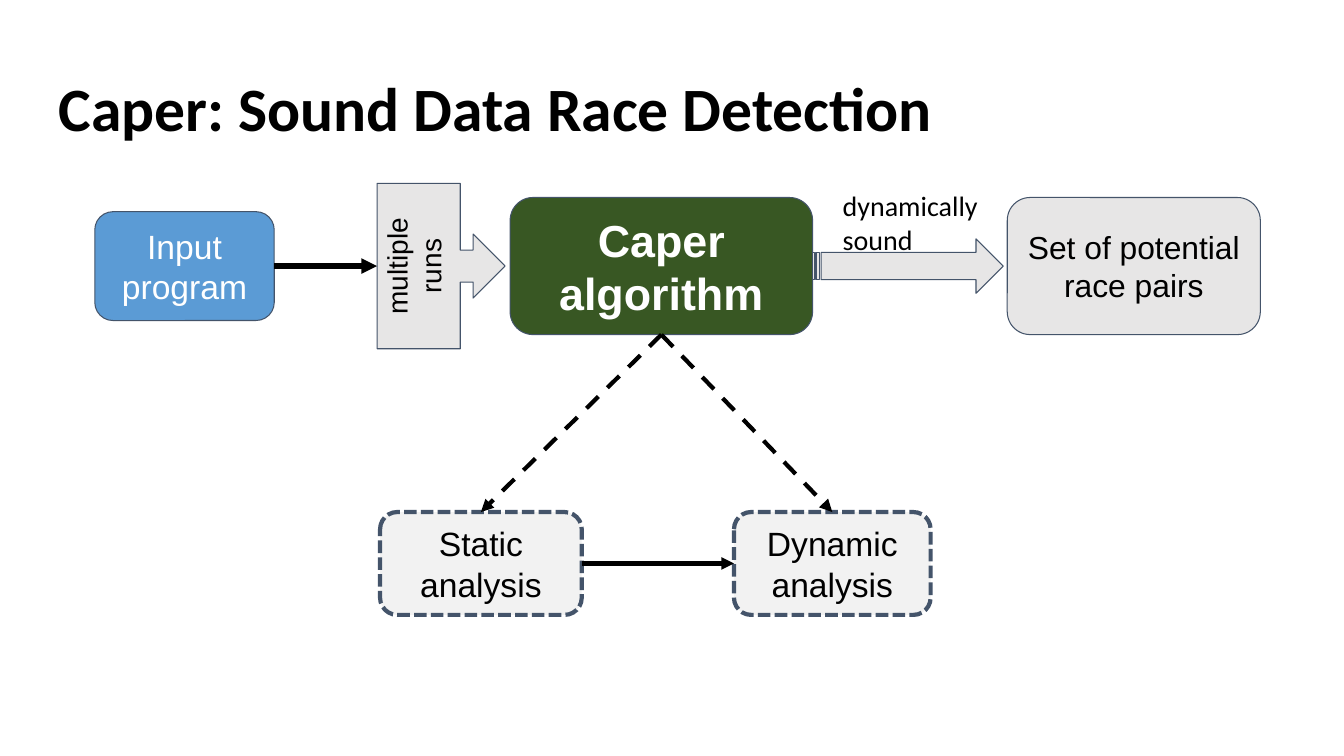
from lxml.etree import SubElement
from pptx import Presentation
from pptx.dml.color import RGBColor
from pptx.enum.dml import MSO_LINE
from pptx.enum.shapes import MSO_CONNECTOR, MSO_SHAPE
from pptx.enum.text import MSO_ANCHOR, PP_ALIGN
from pptx.oxml.ns import qn
from pptx.util import Inches, Pt

BLACK, WHITE, GREY, PALE = "000000", "FFFFFF", "E7E6E6", "F2F2F2"
BLUE, GREEN, SLATE = "5B9BD5", "385723", "44546A"
TOP, LEFT, BASE, RIGHT = range(4)


def paint(item, code):
    """Give a fill or a font the colour of a hex string."""
    if hasattr(item, "solid"):
        item.solid()
        item = item.fore_color
    else:
        item = item.color
    item.rgb = RGBColor.from_string(code)


def apply(item, form):
    """Set attributes from a dict of format values."""
    for name, value in form.items():
        setattr(item, name, value)


def write(shape, lines, size, code=BLACK, face="Arial", bold=False,
          inset=0.13, anchor=MSO_ANCHOR.MIDDLE, align=PP_ALIGN.CENTER,
          space=1.0):
    """Fill a shape with lines of text in one format."""
    frame = shape.text_frame
    form = {"word_wrap": True, "vertical_anchor": anchor}
    for side in ("left", "top", "right", "bottom"):
        form["margin_" + side] = Inches(inset)
    apply(frame, form)
    for num, line in enumerate(lines):
        para = frame.add_paragraph() if num else frame.paragraphs[0]
        apply(para, {"alignment": align, "line_spacing": space})
        run = para.add_run()
        run.text = line
        apply(run.font, {"name": face, "size": Pt(size), "bold": bold})
        paint(run.font, code)


def block(slide, kind, box, fill, line=SLATE, width=0.75, dash=None,
          adjust=()):
    """Draw a filled preset shape in the box."""
    shape = slide.shapes.add_shape(kind, *map(Inches, box))
    shape.shadow.inherit = False
    for num, value in enumerate(adjust):
        shape.adjustments[num] = value
    paint(shape.fill, fill)
    if line:
        paint(shape.line.fill, line)
        apply(shape.line, {"width": Pt(width), "dash_style": dash})
    else:
        shape.line.fill.background()
    return shape


def node(slide, box, label, fill, size, code=BLACK, bold=False, inset=0.13,
         **edge):
    """Draw a rounded box with a centred label."""
    shape = block(slide, MSO_SHAPE.ROUNDED_RECTANGLE, box, fill, **edge)
    write(shape, [label], size, code, bold=bold, inset=inset)
    return shape


def link(slide, start, out, end, into, width=3, dash=None):
    """Join two shapes with an arrow between their sides."""
    arrow = slide.shapes.add_connector(MSO_CONNECTOR.STRAIGHT, 0, 0, 0, 0)
    arrow.begin_connect(start, out)
    arrow.end_connect(end, into)
    paint(arrow.line.fill, BLACK)
    apply(arrow.line, {"width": Pt(width), "dash_style": dash})
    SubElement(arrow.line._get_or_add_ln(), qn("a:tailEnd"), type="triangle")
    SubElement(arrow._element.spPr, qn("a:effectLst"))


def words(slide, box, lines, size, **form):
    """Place left-aligned Calibri text in the box."""
    text = slide.shapes.add_textbox(*map(Inches, box))
    write(text, lines, size, face="Calibri", anchor=MSO_ANCHOR.TOP,
          align=PP_ALIGN.LEFT, **form)


def flow(slide, box):
    """Draw the row from input to race pairs; return the Caper box."""
    x, y, w, h = box
    mid = y + h / 2

    def row(left, wide, high):
        """Return a box centred on the row."""
        return x + left, mid - high / 2, wide, high

    start = node(slide, row(0, 1.78, 1.08), "Input program", BLUE, 24, WHITE)
    caper = node(slide, row(4.12, 3, 1.36), "Caper algorithm", GREEN, 32,
                 WHITE, bold=True)
    node(slide, row(w - 2.51, 2.51, 1.36), "Set of potential race pairs",
         GREY, 22.7)
    runs = block(slide, MSO_SHAPE.RIGHT_ARROW_CALLOUT, row(2.8, 1.27, h),
                 GREY, adjust=(0.25, 0.25, 0.25, 0.65))
    label = block(slide, MSO_SHAPE.RECTANGLE, row(2.41, 1.5, 0.63), GREY,
                  line=None)
    label.rotation = 270
    write(label, ["multiple runs"], 20)
    block(slide, MSO_SHAPE.STRIPED_RIGHT_ARROW, row(7.12, 1.89, 0.54), GREY)
    link(slide, start, RIGHT, runs, LEFT, 3.75)
    words(slide, (x + 7.32, y - 0.05, 2.13, 0.77), ["dynamically", "sound"],
          20, inset=0.1)
    return caper


def parts(slide, box, caper):
    """Draw the two analyses that the Caper box leads to."""
    x, y, w, h = box
    edge = {"width": 3, "dash": MSO_LINE.SQUARE_DOT, "inset": 0.1}
    static = node(slide, (x, y, 2, h), "Static analysis", PALE, 24, **edge)
    active = node(slide, (x + w - 1.95, y, 1.95, h), "Dynamic analysis",
                  PALE, 24, **edge)
    for end in (static, active):
        link(slide, caper, BASE, end, TOP, dash=MSO_LINE.DASH)
    link(slide, static, RIGHT, active, LEFT)


def build():
    """Build the slide and save it."""
    deck = Presentation()
    apply(deck, {"slide_width": Inches(13.33), "slide_height": Inches(7.5)})
    slide = deck.slides.add_slide(deck.slide_layouts[6])
    words(slide, (0.45, 0.65, 12.42, 0.84),
          ["Caper: Sound Data Race Detection"], 44, bold=True, space=0.9)
    caper = flow(slide, (0.94, 1.82, 11.56, 1.64))
    parts(slide, (3.77, 5.08, 5.46, 1.02), caper)
    deck.save("out.pptx")


build()
